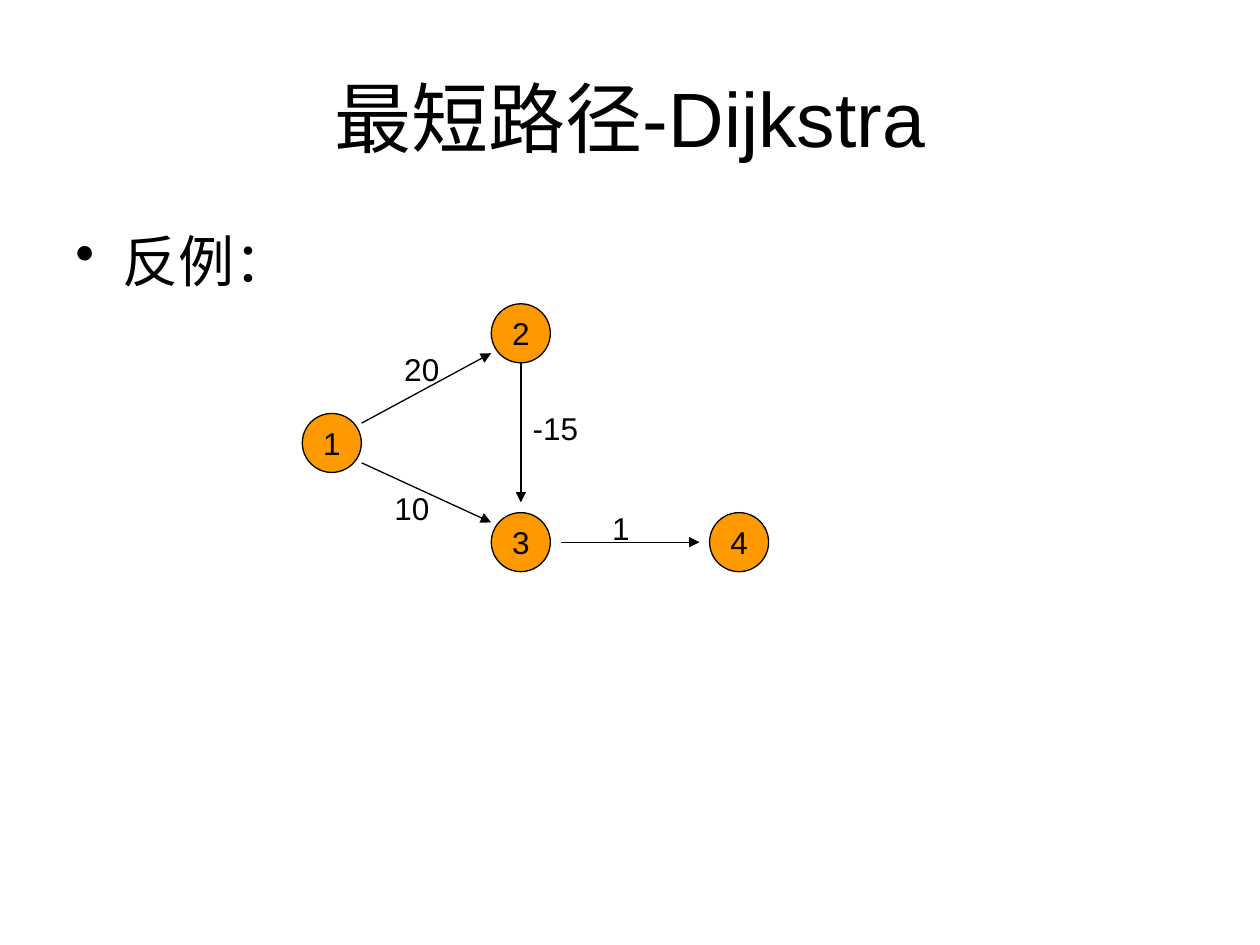
from pptx import Presentation
from pptx.dml.color import RGBColor
from pptx.enum import shapes, text
from pptx.oxml.ns import qn
from pptx.util import Cm, Pt
from lxml import etree

THEME = {
    "font": "Arial", "ink": RGBColor(0, 0, 0), "node": RGBColor(0xFF, 0x99, 0),
    "title": Pt(44), "body": Pt(32), "label": Pt(18), "line": Pt(0.75),
}
TITLE = ("最短路径-Dijkstra", (1.27, 0.76, 22.86, 3.18))
BODY = ("反例：", (1.27, 4.45, 22.86, 12.57))
SIZE = 1.19
NODES = {"1": (6.69, 8.93), "2": (10.5, 6.72), "3": (10.5, 10.93), "4": (14.9, 10.93)}
EDGES = [
    ("1", "2", (0.6, -0.4), (-0.6, 0.4), "20", (7.9, 6.93, 1.4)),
    ("1", "3", (0.6, 0.4), (-0.6, -0.4), "10", (7.7, 9.73, 1.4)),
    ("2", "3", (0, 0.6), (0, -0.8), "-15", (10.49, 8.13, 2)),
    ("3", "4", (0.8, 0), (-0.8, 0), "1", (12.09, 10.13, 0.79)),
]


def write(shape, words, size, align=text.PP_ALIGN.LEFT, anchor=text.MSO_ANCHOR.TOP,
          wrap=True, bullet=False):
    frame = shape.text_frame
    frame.word_wrap = wrap
    frame.vertical_anchor = anchor
    para = frame.paragraphs[0]
    para.text = words
    para.alignment = align
    if bullet:
        props = para._p.get_or_add_pPr()
        props.set("marL", str(Cm(0.95)))
        props.set("indent", str(-Cm(0.95)))
        etree.SubElement(props, qn("a:buChar")).set("char", "•")
    font = para.font
    font.name, font.size = THEME["font"], size
    font.color.rgb = THEME["ink"]


def box(slide, words, area, size, **style):
    shape = slide.shapes.add_textbox(*map(Cm, area))
    write(shape, words, size, **style)


def node(slide, name, spot):
    x, y = spot
    shape = slide.shapes.add_shape(
        shapes.MSO_SHAPE.OVAL, Cm(x - SIZE / 2), Cm(y - SIZE / 2), Cm(SIZE), Cm(SIZE))
    shape.shadow.inherit = False
    shape.fill.solid()
    shape.fill.fore_color.rgb = THEME["node"]
    shape.line.color.rgb = THEME["ink"]
    shape.line.width = THEME["line"]
    write(shape, name, THEME["label"], text.PP_ALIGN.CENTER,
          text.MSO_ANCHOR.MIDDLE, wrap=False)


def arrow(slide, start, end):
    link = slide.shapes.add_connector(
        shapes.MSO_CONNECTOR.STRAIGHT, *map(Cm, start + end))
    link.line.color.rgb = THEME["ink"]
    link.line.width = THEME["line"]
    etree.SubElement(link.line._get_or_add_ln(), qn("a:tailEnd")).set("type", "triangle")
    etree.SubElement(link._element.spPr, qn("a:effectLst"))


def shift(spot, move):
    return spot[0] + move[0], spot[1] + move[1]


def main():
    deck = Presentation()
    deck.slide_width, deck.slide_height = Cm(25.4), Cm(19.05)
    slide = deck.slides.add_slide(deck.slide_layouts[6])
    box(slide, *TITLE, THEME["title"], align=text.PP_ALIGN.CENTER,
        anchor=text.MSO_ANCHOR.MIDDLE)
    box(slide, *BODY, THEME["body"], bullet=True)
    for name, spot in NODES.items():
        node(slide, name, spot)
    for tail, head, leave, reach, cost, (x, y, wide) in EDGES:
        arrow(slide, shift(NODES[tail], leave), shift(NODES[head], reach))
        box(slide, cost, (x, y, wide, 1.02), THEME["label"])
    deck.save("out.pptx")


if __name__ == "__main__":
    main()
